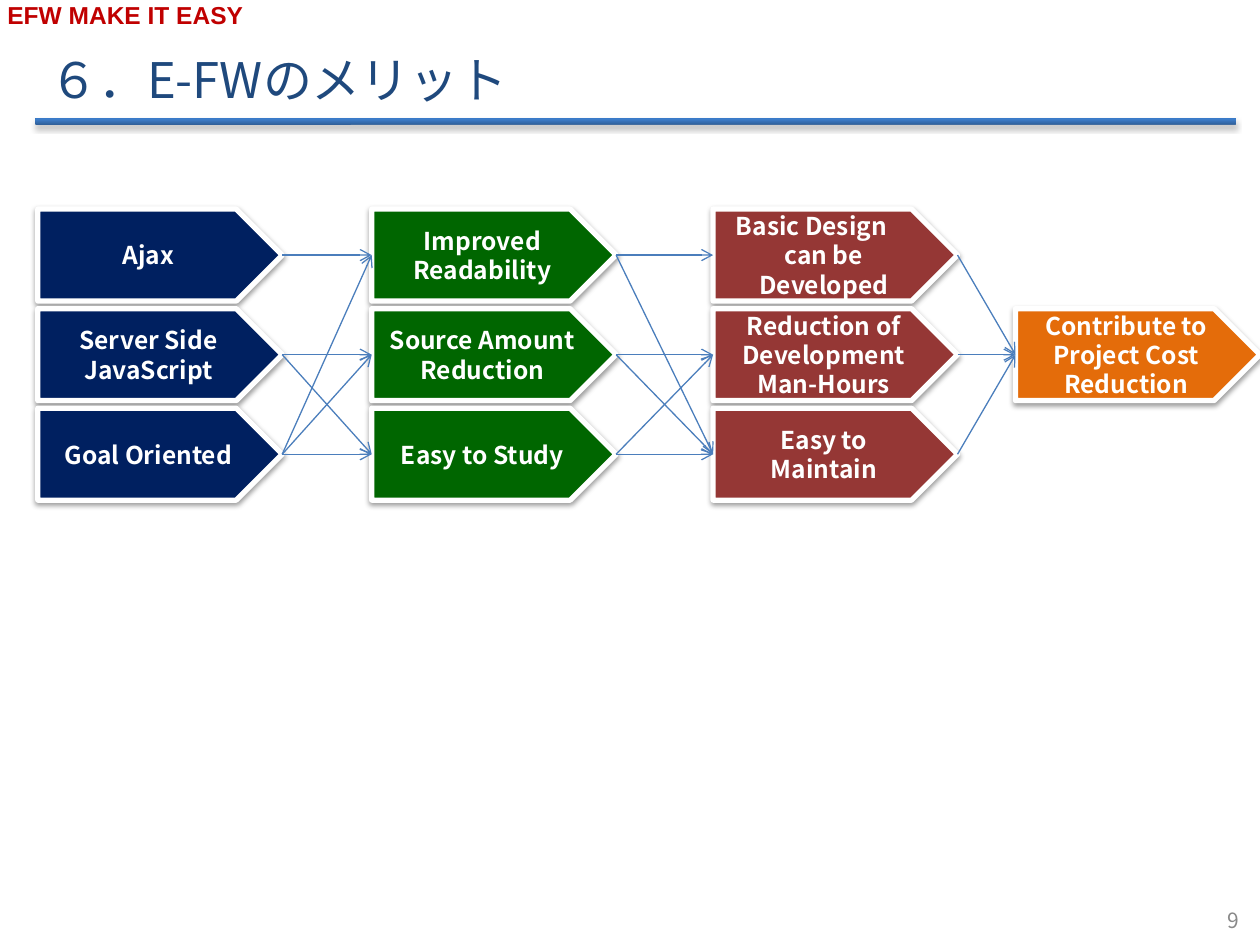
from lxml import etree
from pptx import Presentation
from pptx import util as u
from pptx.dml import color
from pptx.enum import shapes, text
from pptx.oxml import ns

BODY_FONT = "Noto Sans CJK JP"
LEFT, RIGHT = 1, 3
ARROW_SIZE = (139.68, 52.56)
TOP, ROW_PITCH = 119.5, 56.9
COLUMNS = [
    (21.6, "002060", 0, ["Ajax", "Server Side\nJavaScript", "Goal Oriented"]),
    (212.4, "006600", 0, ["Improved Readability", "Source Amount Reduction", "Easy to Study"]),
    (407.5, "953735", 0, ["Basic Design　can be Developed",
                          "Reduction of Development Man-Hours", "Easy to Maintain"]),
    (580.3, "E46C0A", 1, ["Contribute to Project Cost Reduction"]),
]
LINKS = [
    [(0, 0), (2, 0), (1, 1), (1, 2), (2, 2), (2, 1)],
    [(0, 0), (1, 1), (2, 1), (2, 2), (0, 2), (1, 2)],
    [(0, 0), (1, 0), (2, 0)],
]


def rgb(value):
    """Turn a hex string into a colour."""
    return color.RGBColor.from_string(value)


def points(*values):
    """Turn numbers into lengths in points."""
    return [u.Pt(value) for value in values]


def add_element(parent, tag, **attributes):
    """Append a drawing element with the given attributes."""
    return etree.SubElement(parent, ns.qn(f"a:{tag}"), attributes)


def add_shadow(shape, blur, distance, opacity):
    """Give a shape a soft black shadow that falls downwards."""
    shape.shadow.inherit = False
    effects = shape._element.spPr.find(ns.qn("a:effectLst"))
    outer = add_element(effects, "outerShdw", blurRad=str(u.Pt(blur)),
                        dist=str(u.Pt(distance)), dir="5400000", rotWithShape="0")
    black = add_element(outer, "srgbClr", val="000000")
    add_element(black, "alpha", val=str(opacity * 1000))


def write(frame, words, size, hex_color, font=BODY_FONT, bold=False,
          anchor=text.MSO_ANCHOR.MIDDLE, wrap=True, **paragraph_format):
    """Fill a text frame, one paragraph for each line of words."""
    frame.text = words
    frame.word_wrap = wrap
    frame.vertical_anchor = anchor
    for para in frame.paragraphs:
        for name, value in paragraph_format.items():
            setattr(para, name, value)
        for span in para.runs:
            span.font.color.rgb = rgb(hex_color)
            for name, value in {"name": font, "size": u.Pt(size), "bold": bold}.items():
                setattr(span.font, name, value)
            add_element(span.font._element, "ea", typeface=font)


def add_label(page, area, words, size, hex_color, **formats):
    """Add a plain text box."""
    box = page.shapes.add_textbox(*points(*area))
    write(box.text_frame, words, size, hex_color, **formats)


def add_title(page, words):
    """Place and format the title placeholder."""
    title = page.shapes.title
    title.left, title.top, title.width, title.height = points(20.9, 21.6, 648, 43.9)
    write(title.text_frame, words, 28, "1F497D", alignment=text.PP_ALIGN.LEFT,
          line_spacing=1.1, space_before=u.Pt(7))


def add_rule(page):
    """Add the shaded bar below the title."""
    bar = page.shapes.add_shape(shapes.MSO_SHAPE.ROUNDED_RECTANGLE, *points(20.2, 67.7, 686.2, 3.6))
    bar.line.fill.background()
    bar.fill.gradient()
    gradient = bar._element.spPr.find(ns.qn("a:gradFill"))
    for child in list(gradient):
        gradient.remove(child)
    stops = add_element(gradient, "gsLst")
    for position, hex_color in ((0, "2F5F99"), (80, "3D7CC7"), (100, "3A7CCB")):
        stop = add_element(stops, "gs", pos=str(position * 1000))
        add_element(stop, "srgbClr", val=hex_color)
    add_element(gradient, "lin", ang="16200000", scaled="0")
    add_shadow(bar, 3.1, 1.8, 35)


def add_step(page, left, row, fill, words):
    """Add one pentagon arrow of the diagram."""
    step = page.shapes.add_shape(shapes.MSO_SHAPE.PENTAGON,
                                 *points(left, TOP + row * ROW_PITCH, *ARROW_SIZE))
    step.fill.solid()
    step.fill.fore_color.rgb = rgb(fill)
    step.line.color.rgb = rgb("FFFFFF")
    step.line.width = u.Pt(3)
    add_shadow(step, 3.1, 1.6, 38)
    write(step.text_frame, words, 14, "FFFFFF", bold=True, alignment=text.PP_ALIGN.CENTER)
    return step


def add_link(page, source, target):
    """Join the tip of one step to the left side of another."""
    link = page.shapes.add_connector(shapes.MSO_CONNECTOR.STRAIGHT, 0, 0, 0, 0)
    link.begin_connect(source, RIGHT)
    link.end_connect(target, LEFT)
    link.line.color.rgb = rgb("4B7EBC")
    link.line.width = u.Pt(0.75)
    add_element(link.line._get_or_add_ln(), "tailEnd", type="arrow")
    add_element(link._element.spPr, "effectLst")


def main():
    """Build the slide and save it."""
    deck = Presentation()
    deck.slide_width, deck.slide_height = points(720, 540)
    page = deck.slides.add_slide(deck.slide_layouts[5])
    add_rule(page)
    add_label(page, (-2.9, -3.6, 254.9, 24.5), "EFW MAKE IT EASY", 14, "C00000",
              font="Arial", bold=True, anchor=text.MSO_ANCHOR.TOP)
    add_label(page, (547.2, 511.2, 167.8, 28.8), "9", 12, "898989",
              alignment=text.PP_ALIGN.RIGHT)
    add_title(page, "６．E-FWのメリット")
    steps = [[add_step(page, left, row, fill, words)
              for row, words in enumerate(labels, first_row)]
             for left, fill, first_row, labels in COLUMNS]
    for sources, targets, pairs in zip(steps, steps[1:], LINKS):
        for start, end in pairs:
            add_link(page, sources[start], targets[end])
    deck.save("out.pptx")


if __name__ == "__main__":
    main()
